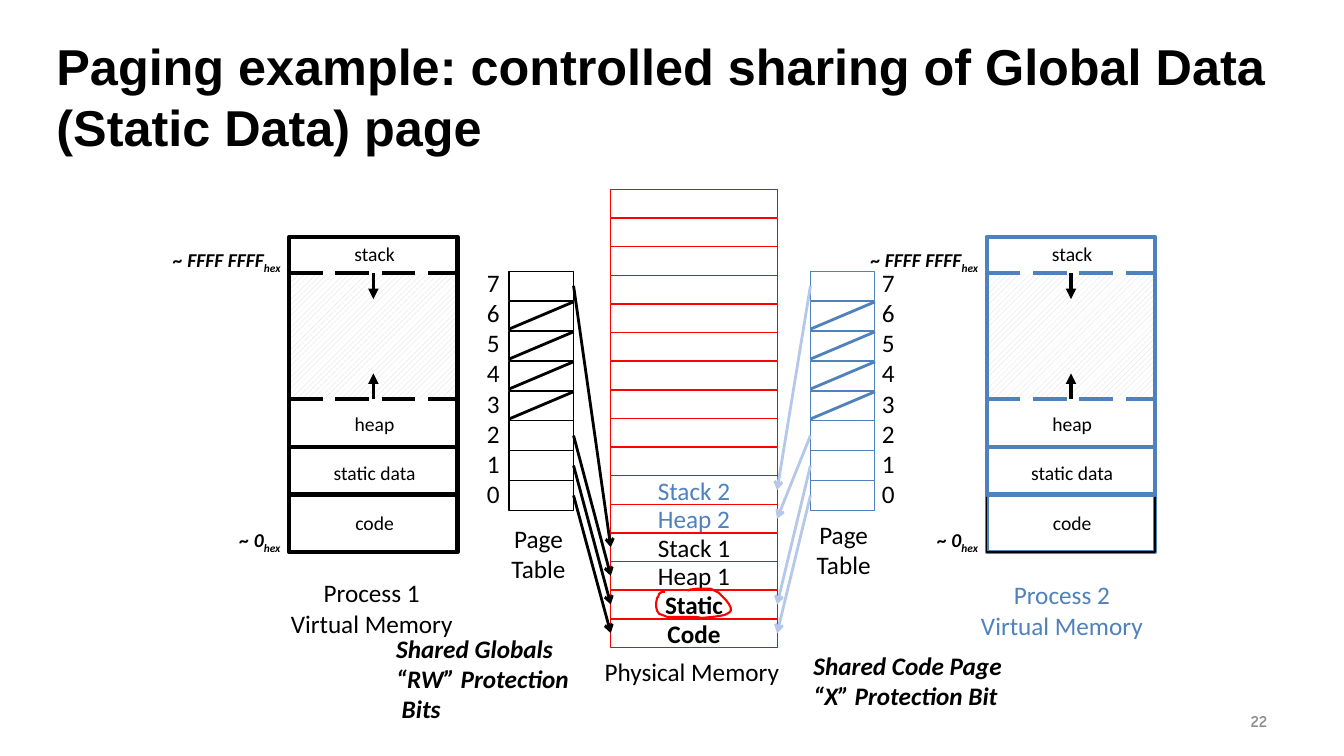
from lxml.etree import SubElement
from pptx import Presentation
from pptx.dml.color import RGBColor
from pptx.enum.dml import MSO_LINE, MSO_PATTERN
from pptx.enum.shapes import MSO_CONNECTOR, MSO_SHAPE
from pptx.enum.text import MSO_ANCHOR, PP_ALIGN
from pptx.oxml.ns import qn
from pptx.util import Pt

BLACK = RGBColor(0x00, 0x00, 0x00)
WHITE = RGBColor(0xFF, 0xFF, 0xFF)
BLUE = RGBColor(0x4F, 0x81, 0xBD)
PALE_BLUE = RGBColor(0xB6, 0xC8, 0xE9)
RED = RGBColor(0xFF, 0x00, 0x00)
HATCH = RGBColor(0xD6, 0xD7, 0xD6)
GRAY = RGBColor(0x8C, 0x8C, 0x8C)

FRAME_LABELS = ["Code", "Static", "Heap 1", "Stack 1", "Heap 2", "Stack 2"]
STATIC_CIRCLE = [
    (660, 587), (657, 587), (654, 589), (653, 592), (652, 593), (651, 598),
    (651, 602), (652, 606), (654, 609), (657, 610), (662, 612), (670, 612),
    (691, 612), (696, 613), (707, 612), (714, 611), (719, 610), (723, 608),
    (725, 606), (725, 603), (723, 599), (720, 595), (717, 592), (713, 588),
    (709, 586), (705, 584), (691, 584), (684, 585), (682, 586),
]


def write_text(text_frame, text, size=18, font="Calibri", color=BLACK, bold=False,
               italic=False, align=PP_ALIGN.LEFT, subscript=None):
    for index, line in enumerate(text.split("\n")):
        paragraph = text_frame.add_paragraph() if index else text_frame.paragraphs[0]
        paragraph.alignment = align
        paragraph.text = line
        if subscript:
            run = paragraph.add_run()
            run.text = subscript
            run._r.get_or_add_rPr().set("baseline", "-25000")
        for run in paragraph.runs:
            run.font.size = Pt(size)
            run.font.name = font
            run.font.bold = bold
            run.font.italic = italic
            run.font.color.rgb = color


def add_text(slide, left, top, width, height, text, wrap=False,
             anchor=MSO_ANCHOR.TOP, **text_format):
    box = slide.shapes.add_textbox(Pt(left), Pt(top), Pt(width), Pt(height))
    box.text_frame.word_wrap = wrap
    box.text_frame.vertical_anchor = anchor
    write_text(box.text_frame, text, **text_format)


def add_box(slide, left, top, width, height, color, weight):
    shape = slide.shapes.add_shape(
        MSO_SHAPE.RECTANGLE, Pt(left), Pt(top), Pt(width), Pt(height))
    shape.shadow.inherit = False
    shape.fill.background()
    shape.line.color.rgb = color
    shape.line.width = Pt(weight)
    return shape


def add_line(slide, start, end, color, weight, head=None, dash=None):
    line = slide.shapes.add_connector(
        MSO_CONNECTOR.STRAIGHT, Pt(start[0]), Pt(start[1]), Pt(end[0]), Pt(end[1]))
    line.line.color.rgb = color
    line.line.width = Pt(weight)
    if dash:
        line.line.dash_style = dash
    if head:
        SubElement(line.line._get_or_add_ln(), qn("a:tailEnd"), type=head)
    SubElement(line._element.spPr, qn("a:effectLst"))
    return line


def join_page_to_frame(slide, page, page_side, frame, frame_side, color):
    arrow = add_line(slide, (0, 0), (0, 0), color, 2, head="arrow")
    arrow.begin_connect(page, page_side)
    arrow.end_connect(frame, frame_side)


def build_title(slide, left, top, width, height):
    title = slide.shapes.title
    title.left, title.top, title.width, title.height = (
        Pt(left), Pt(top), Pt(width), Pt(height))
    title.text_frame.word_wrap = True
    title.text_frame.vertical_anchor = MSO_ANCHOR.TOP
    write_text(title.text_frame,
               "Paging example: controlled sharing of Global Data (Static Data) page",
               size=36, font="Arial", bold=True)


def build_virtual_memory(slide, left, top, width, height, color):
    stack_end, heap_start, heap_end, static_end = (
        top + 26, top + 116, top + 150, top + 184)
    right = left + width
    middle = left + width / 2
    free_space = add_box(slide, left, stack_end, width, heap_start - stack_end, WHITE, 1)
    free_space.fill.patterned()
    free_space.fill.pattern = MSO_PATTERN.WIDE_UPWARD_DIAGONAL
    free_space.fill.fore_color.rgb = HATCH
    free_space.fill.back_color.rgb = WHITE
    add_box(slide, left, top, width, height, color, 3)
    add_box(slide, left, static_end, width, top + height - static_end, BLACK, 1)
    add_box(slide, left, heap_end, width, static_end - heap_end, color, 3)
    for border, growth in ((heap_start, -18.5), (stack_end, 18.5)):
        add_line(slide, (left, border), (right, border), color, 3,
                 dash=MSO_LINE.LONG_DASH)
        add_line(slide, (middle, border), (middle, border + growth), BLACK, 2.5,
                 head="triangle")
    for name, offset in (("stack", 0), ("heap", 121.7),
                         ("static data", 156.2), ("code", 192.2)):
        add_text(slide, left + 14, top + offset, 94, 24.5, name,
                 size=14, align=PP_ALIGN.CENTER)
    for address, indent, offset, span in (("~ FFFF FFFF", 90, 4.3, 93),
                                          ("~ 0", 42.5, 204.5, 70)):
        add_text(slide, left - indent, top + offset, span, 24.5, address, wrap=True,
                 size=14, bold=True, italic=True, subscript="hex")


def build_page_table(slide, left, top, width, height, color, numbers_left):
    pitch = height / 8
    pages = {}
    for number in range(8):
        page_top = top + (7 - number) * pitch
        pages[number] = add_box(slide, left, page_top, width, pitch - 0.5, color, 0.75)
        if 3 <= number <= 6:
            add_line(slide, (left, page_top + 20), (left + width, page_top + 0.5),
                     color, 2)
    add_text(slide, numbers_left, top - 6.5, 24, 181.5, "7\n6\n5\n4\n3\n2\n1\n0")
    return pages


def build_physical_memory(slide, left, top, width, height):
    pitch = height / 16
    frames = {}
    for row in range(16):
        frame = add_box(slide, left, top + (15 - row) * pitch, width, pitch - 0.25,
                        RED, 0.75)
        if row < len(FRAME_LABELS):
            label = FRAME_LABELS[row]
            frames[label] = frame
            frame.text_frame.margin_top = frame.text_frame.margin_bottom = Pt(0)
            frame.text_frame.vertical_anchor = MSO_ANCHOR.MIDDLE
            write_text(frame.text_frame, label, bold=row < 2,
                       color=BLUE if label.endswith("2") else BLACK,
                       align=PP_ALIGN.CENTER)
    return frames


def build_static_circle(slide):
    builder = slide.shapes.build_freeform(*STATIC_CIRCLE[0], scale=Pt(0.72))
    builder.add_line_segments(STATIC_CIRCLE[1:], close=False)
    circle = builder.convert_to_shape()
    circle.shadow.inherit = False
    circle.fill.background()
    circle.line.color.rgb = RED
    circle.line.width = Pt(1.5)


def build_captions(slide):
    center = PP_ALIGN.CENTER
    add_text(slide, 199.5, 409, 132, 51, "Process 1\nVirtual Memory", align=center)
    add_text(slide, 692.5, 410.5, 132, 51, "Process 2\nVirtual Memory",
             color=BLUE, align=center)
    for left, top in ((358, 370), (576, 367.2)):
        add_text(slide, left, top, 53.3, 51, "Page\vTable", align=center)
    add_text(slide, 424, 465, 140.4, 29, "Physical Memory", align=center)
    add_text(slide, 574, 461, 155, 51, "Shared Code Page\n“X” Protection Bit",
             bold=True, italic=True)
    add_text(slide, 275.8, 448.6, 143.3, 72.7,
             "Shared Globals\n“RW” Protection\n Bits", bold=True, italic=True)
    add_text(slide, 688.3, 500.4, 224, 28.8, "22", wrap=True,
             anchor=MSO_ANCHOR.MIDDLE, size=12, font="Comic Neue", color=GRAY,
             bold=True, align=PP_ALIGN.RIGHT)


def main():
    presentation = Presentation()
    presentation.slide_width = Pt(960)
    presentation.slide_height = Pt(540)
    slide = presentation.slides.add_slide(presentation.slide_layouts[5])
    build_title(slide, 33.1, 21.6, 893, 94.3)
    build_virtual_memory(slide, 206.6, 169.2, 120.2, 225.2, BLACK)
    build_virtual_memory(slide, 704.9, 169.2, 120.2, 225.2, BLUE)
    first_pages = build_page_table(slide, 363.6, 193.7, 46.1, 171.2, BLACK, 340.6)
    second_pages = build_page_table(slide, 578.9, 193.7, 46.1, 171.2, BLUE, 622.8)
    frames = build_physical_memory(slide, 436.3, 135.4, 118.8, 327.2)
    for process, pages, page_side, frame_side, color in (
            (1, first_pages, 3, 1, BLACK), (2, second_pages, 1, 3, PALE_BLUE)):
        for number, label in ((0, "Code"), (1, "Static"),
                              (2, f"Heap {process}"), (7, f"Stack {process}")):
            join_page_to_frame(slide, pages[number], page_side, frames[label],
                               frame_side, color)
    build_captions(slide)
    build_static_circle(slide)
    presentation.save("out.pptx")


if __name__ == "__main__":
    main()
